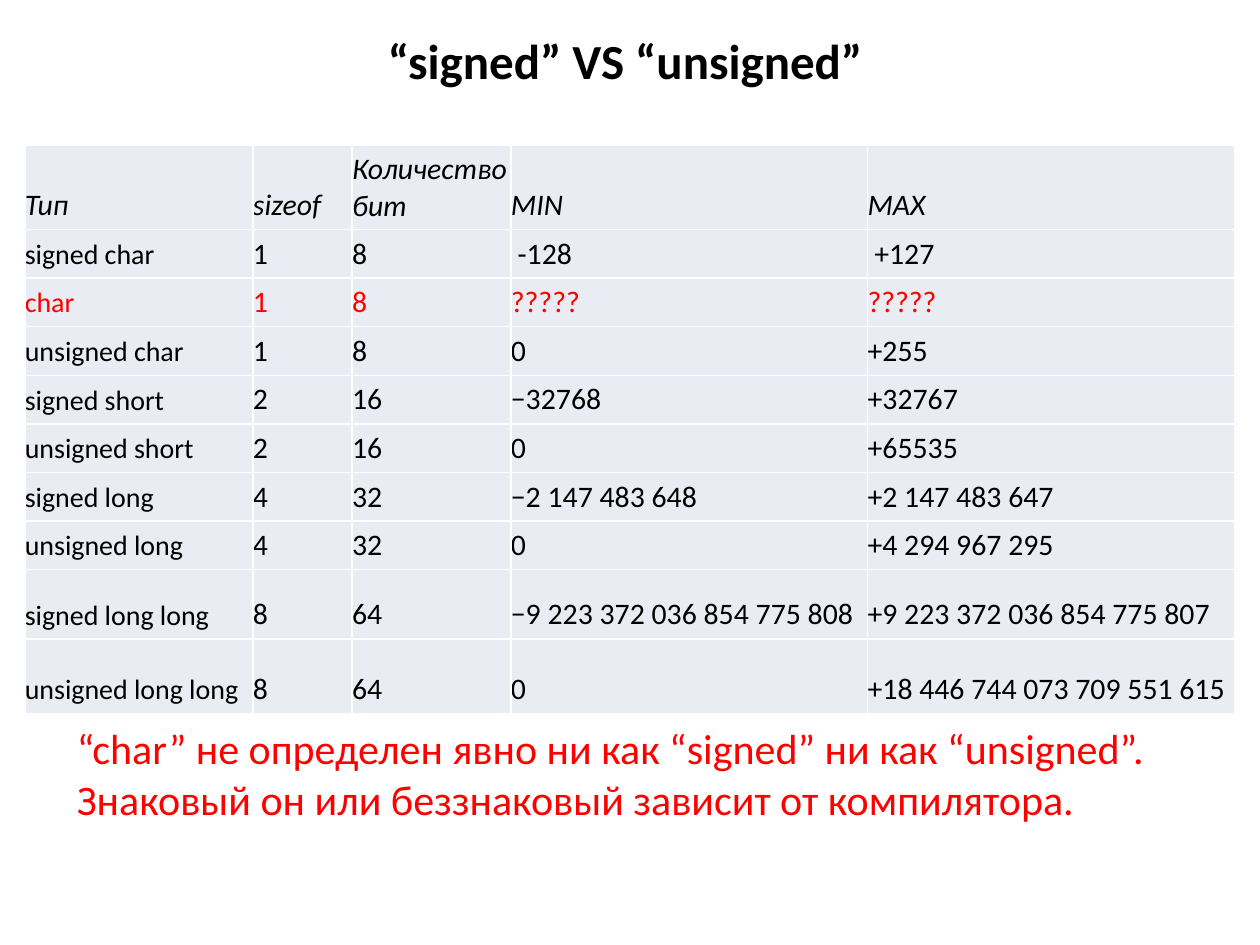
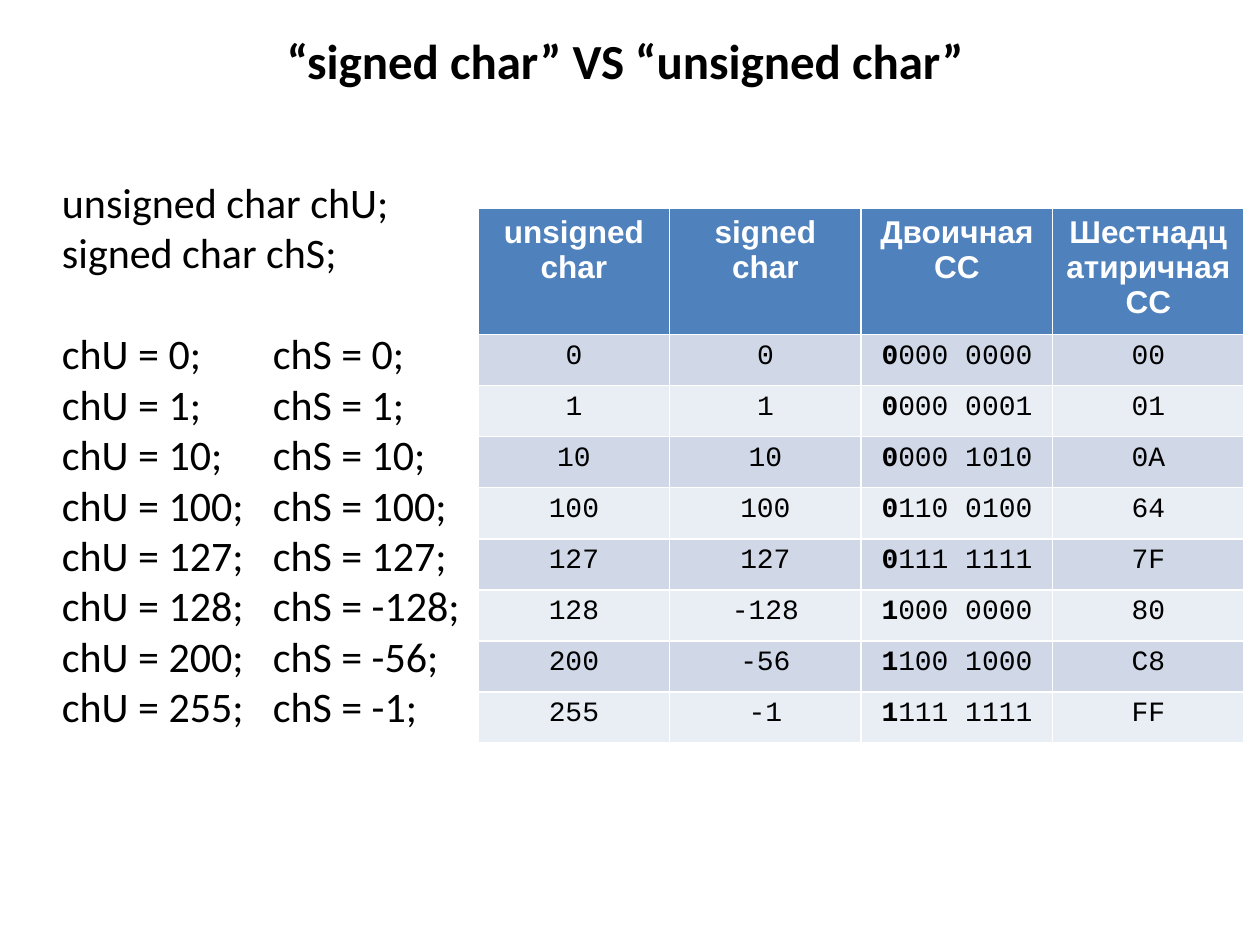
from lxml.etree import SubElement
from pptx import Presentation
from pptx.dml.color import RGBColor
from pptx.enum.text import MSO_ANCHOR as Anchor, MSO_AUTO_SIZE as AutoSize, PP_ALIGN as Align
from pptx.oxml.ns import qn
from pptx.util import Cm, Pt

BLACK, WHITE, RED = "000000", "FFFFFF", "FF0000"
HEADER_BLUE, BAND_BLUE, PALE_BLUE, PALE_GREY = "4F81BD", "D0D8E8", "E9EDF4", "E9ECF3"
BODY_FONT, HEADER_FONT, CODE_FONT = "Calibri", "Arial", "Courier New"
TITLE_ONLY = 5


def color(value):
    return RGBColor.from_string(value)


class Deck:
    """Holds the shared style and the current slide."""

    def __init__(self):
        self.presentation = Presentation()
        self.presentation.slide_width = Cm(25.4)
        self.presentation.slide_height = Cm(19.05)
        self.slide = None

    def style(self, paragraph, size, font=BODY_FONT, ink=BLACK, bold=False, italic=False,
              align=Align.LEFT):
        paragraph.alignment = align
        paragraph.font.name = font
        paragraph.font.size = Pt(size)
        paragraph.font.bold = bold
        paragraph.font.italic = italic
        paragraph.font.color.rgb = color(ink)

    def add_slide(self, title):
        layout = self.presentation.slide_layouts[TITLE_ONLY]
        self.slide = self.presentation.slides.add_slide(layout)
        shape = self.slide.shapes.title
        shape.left, shape.top, shape.width, shape.height = Cm(0.5), Cm(0.33), Cm(24.2), Cm(1.75)
        shape.text_frame.text = title
        shape.text_frame.vertical_anchor = Anchor.MIDDLE
        self.style(shape.text_frame.paragraphs[0], 28, bold=True, align=Align.CENTER)

    def text(self, left, top, width, height, lines, ink=BLACK):
        """Add a text box and return its paragraphs."""
        shape = self.slide.shapes.add_textbox(Cm(left), Cm(top), Cm(width), Cm(height))
        frame = shape.text_frame
        frame.word_wrap = True
        frame.auto_size = AutoSize.SHAPE_TO_FIT_TEXT
        frame.text = "\n".join(lines)
        for paragraph in frame.paragraphs:
            self.style(paragraph, 24, ink=ink)
        return frame.paragraphs

    def tab_stop(self, paragraph, position):
        tabs = SubElement(paragraph._p.get_or_add_pPr(), qn("a:tabLst"))
        SubElement(tabs, qn("a:tab"), pos=str(Cm(position)), algn="l")
        # The schema wants tab stops ahead of the default run properties
        defaults = paragraph._p.pPr.find(qn("a:defRPr"))
        if defaults is not None:
            defaults.addprevious(tabs)

    def table(self, left, top, widths, heights, has_header):
        shape = self.slide.shapes.add_table(len(heights), len(widths), Cm(left), Cm(top),
                                            Cm(sum(widths)), Cm(sum(heights)))
        table = shape.table
        table.first_row = has_header
        for column, width in zip(table.columns, widths):
            column.width = Cm(width)
        for row, height in zip(table.rows, heights):
            row.height = Cm(height)
        return table

    def cell(self, cell, parts, fill, **style):
        """Fill a cell; of two or more parts, the first is bold."""
        cell.fill.solid()
        cell.fill.fore_color.rgb = color(fill)
        paragraph = cell.text_frame.paragraphs[0]
        for part in parts:
            paragraph.add_run().text = part
        if len(parts) > 1:
            paragraph.runs[0].font.bold = True
        self.style(paragraph, **style)

    def save(self):
        self.presentation.save("out.pptx")


TYPE_ROWS = [
    ("Тип", "sizeof", "Количество бит", "MIN", "MAX"),
    ("signed char", "1", "8", " -128", " +127"),
    ("char", "1", "8", "?????", "?????"),
    ("unsigned char", "1", "8", "0", "+255"),
    ("signed short", "2", "16", "−32768", "+32767"),
    ("unsigned short", "2", "16", "0", "+65535"),
    ("signed long", "4", "32", "−2 147 483 648", "+2 147 483 647"),
    ("unsigned long", "4", "32", "0", "+4 294 967 295"),
    ("signed long long", "8", "64", "−9 223 372 036 854 775 808", "+9 223 372 036 854 775 807"),
    ("unsigned long long", "8", "64", "0", "+18 446 744 073 709 551 615"),
]
BYTE_HEADERS = ["unsigned char", "signed char", "Двоичная СС", "Шестнадцатиричная СС"]
BYTE_VALUES = [0, 1, 10, 100, 127, 128, 200, 255]


def signed(value):
    return value - 256 if value > 127 else value


def build_type_ranges(deck):
    deck.add_slide("“signed” VS “unsigned”")
    deck.text(1.3, 14.45, 23.4, 2.29, [
        "“char” не определен явно ни как “signed” ни как “unsigned”. "
        "Знаковый он или беззнаковый зависит от компилятора."], ink=RED)

    # Ranges of the integer types
    table = deck.table(0.5, 2.93, [4.6, 2, 3.2, 7.19, 7.4],
                       [1.68] + [0.98] * 7 + [1.4, 1.5], has_header=False)
    for row, texts in enumerate(TYPE_ROWS):
        for column, text in enumerate(texts):
            cell = table.cell(row, column)
            cell.margin_left = cell.margin_right = 0
            cell.vertical_anchor = Anchor.BOTTOM
            deck.cell(cell, [text], PALE_GREY, size=16 if row and not column else 17,
                      ink=RED if texts[0] == "char" else BLACK, italic=row == 0)


def build_char_values(deck):
    deck.add_slide("“signed char” VS “unsigned char”")

    # Declarations, then assignments in two tabbed columns
    declarations = ["unsigned char chU;", "signed char chS;"]
    assignments = [f"chU = {value}; \tchS = {signed(value)};" for value in BYTE_VALUES]
    paragraphs = deck.text(1, 3.43, 9.07, 11.53, declarations + assignments)
    first, *others = paragraphs[len(declarations):]
    first.space_before = Pt(29)
    for paragraph in (first, *others):
        deck.tab_stop(paragraph, 4.25)

    # The same bytes in decimal, binary and hexadecimal
    table = deck.table(9.64, 4.2, [3.86] * 4, [2.5] + [1.03] * len(BYTE_VALUES), has_header=True)
    for column, header in enumerate(BYTE_HEADERS):
        deck.cell(table.cell(0, column), [header], HEADER_BLUE, size=18, font=HEADER_FONT,
                  ink=WHITE, bold=True, align=Align.CENTER)
    for row, value in enumerate(BYTE_VALUES, start=1):
        bits = f"{value:08b}"
        contents = [[str(value)], [str(signed(value))],
                    [bits[0], f"{bits[1:4]} {bits[4:]}"], [f"{value:02X}"]]
        for column, parts in enumerate(contents):
            deck.cell(table.cell(row, column), parts, BAND_BLUE if row % 2 else PALE_BLUE,
                      size=16, font=CODE_FONT, align=Align.CENTER)


def main():
    deck = Deck()
    build_type_ranges(deck)
    build_char_values(deck)
    deck.save()


if __name__ == "__main__":
    main()
